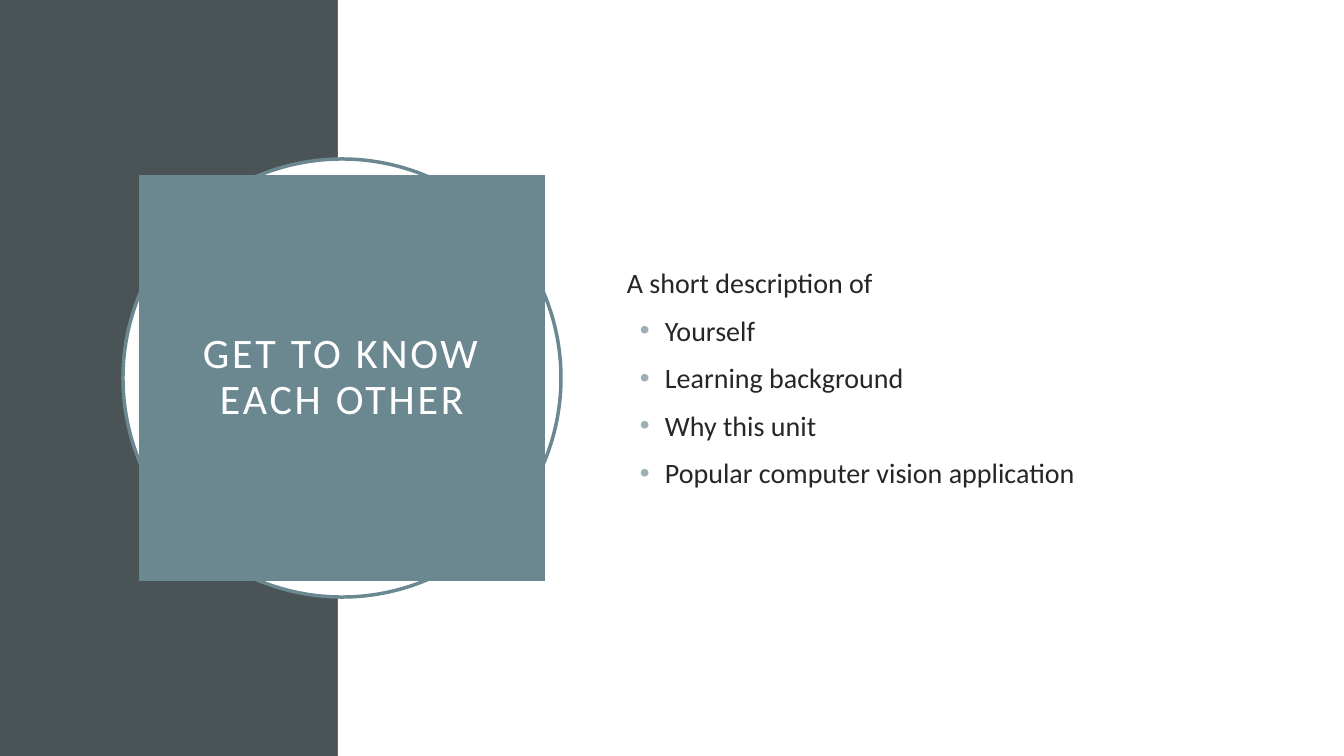
import dataclasses

import lxml.etree
import pptx
import pptx.dml.color
import pptx.enum.shapes
import pptx.enum.text
import pptx.oxml.ns
import pptx.util

PX = 914400 / 100.8  # EMU in one px
SLIDE_WIDTH, SLIDE_HEIGHT = 1344, 756
BAND_WIDTH = 338
BADGE_CENTER = (342, 378)
RING_SIZE, TITLE_SIZE = 438, 406

TOPICS = [
    "Yourself",
    "Learning background",
    "Why this unit",
    "Popular computer vision application",
]


@dataclasses.dataclass(frozen=True)
class Theme:
    font: str = "Calibri"
    band: str = "4A5356"
    accent: str = "6B8891"
    bullet: str = "9BAFB5"
    ink: str = "262626"
    white: str = "FFFFFF"
    title_points: int = 30
    body_points: int = 20
    gap_points: int = 10
    ring_points: float = 2.5


THEME = Theme()
SHAPES = pptx.enum.shapes.MSO_SHAPE
ANCHOR = pptx.enum.text.MSO_ANCHOR


def px(length):
    return pptx.util.Emu(round(length * PX))


def color(value):
    return pptx.dml.color.RGBColor.from_string(value)


def centered_square(size):
    x, y = BADGE_CENTER
    return x - size // 2, y - size // 2, size, size


def add_panel(slide, kind, box, fill, line=None):
    shape = slide.shapes.add_shape(kind, *map(px, box))
    shape.shadow.inherit = False
    shape.fill.solid()
    shape.fill.fore_color.rgb = color(fill)
    if line:
        shape.line.color.rgb = color(line)
        shape.line.width = pptx.util.Pt(THEME.ring_points)
    else:
        shape.line.fill.background()
    return shape


def style(paragraph, points, ink):
    paragraph.font.name = THEME.font
    paragraph.font.size = pptx.util.Pt(points)
    paragraph.font.color.rgb = color(ink)


def add_bullet(paragraph):
    properties = paragraph._p.get_or_add_pPr()
    properties.set("marL", str(px(38)))
    properties.set("indent", str(px(-25)))
    qn = pptx.oxml.ns.qn
    bullet_color = lxml.etree.SubElement(properties, qn("a:buClr"))
    lxml.etree.SubElement(bullet_color, qn("a:srgbClr"), val=THEME.bullet)
    lxml.etree.SubElement(properties, qn("a:buFont"), typeface="Arial")
    lxml.etree.SubElement(properties, qn("a:buChar"), char="•")


def add_title(slide, text):
    shape = add_panel(slide, SHAPES.RECTANGLE, centered_square(TITLE_SIZE), THEME.accent)
    frame = shape.text_frame
    frame.word_wrap = True
    frame.vertical_anchor = ANCHOR.MIDDLE
    frame.margin_left = frame.margin_right = px(20)
    frame.margin_top = frame.margin_bottom = px(20)
    paragraph = frame.paragraphs[0]
    paragraph.alignment = pptx.enum.text.PP_ALIGN.CENTER
    paragraph.line_spacing = 0.9
    run = paragraph.add_run()
    run.text = text
    run._r.get_or_add_rPr().set("spc", "200")  # letter spacing of 2 pt
    style(paragraph, THEME.title_points, THEME.white)


def add_topics(slide, box, intro, topics):
    frame = slide.shapes.add_textbox(*map(px, box)).text_frame
    frame.word_wrap = True
    frame.vertical_anchor = ANCHOR.MIDDLE
    paragraph = frame.paragraphs[0]
    paragraph.text = intro
    style(paragraph, THEME.body_points, THEME.ink)
    for topic in topics:
        paragraph = frame.add_paragraph()
        paragraph.text = topic
        paragraph.space_before = pptx.util.Pt(THEME.gap_points)
        add_bullet(paragraph)
        style(paragraph, THEME.body_points, THEME.ink)


def main():
    presentation = pptx.Presentation()
    presentation.slide_width = px(SLIDE_WIDTH)
    presentation.slide_height = px(SLIDE_HEIGHT)
    slide = presentation.slides.add_slide(presentation.slide_layouts[6])

    # Background halves
    add_panel(slide, SHAPES.RECTANGLE, (0, 0, BAND_WIDTH, SLIDE_HEIGHT), THEME.band)
    add_panel(slide, SHAPES.RECTANGLE,
              (BAND_WIDTH, 0, SLIDE_WIDTH - BAND_WIDTH, SLIDE_HEIGHT), THEME.white)

    # Ring and title
    add_panel(slide, SHAPES.OVAL, centered_square(RING_SIZE), THEME.white, THEME.accent)
    add_title(slide, "GET TO KNOW EACH OTHER")

    # Topic list
    add_topics(slide, (617, 154, 587, 447), "A short description of", TOPICS)

    presentation.save("out.pptx")


if __name__ == "__main__":
    main()
